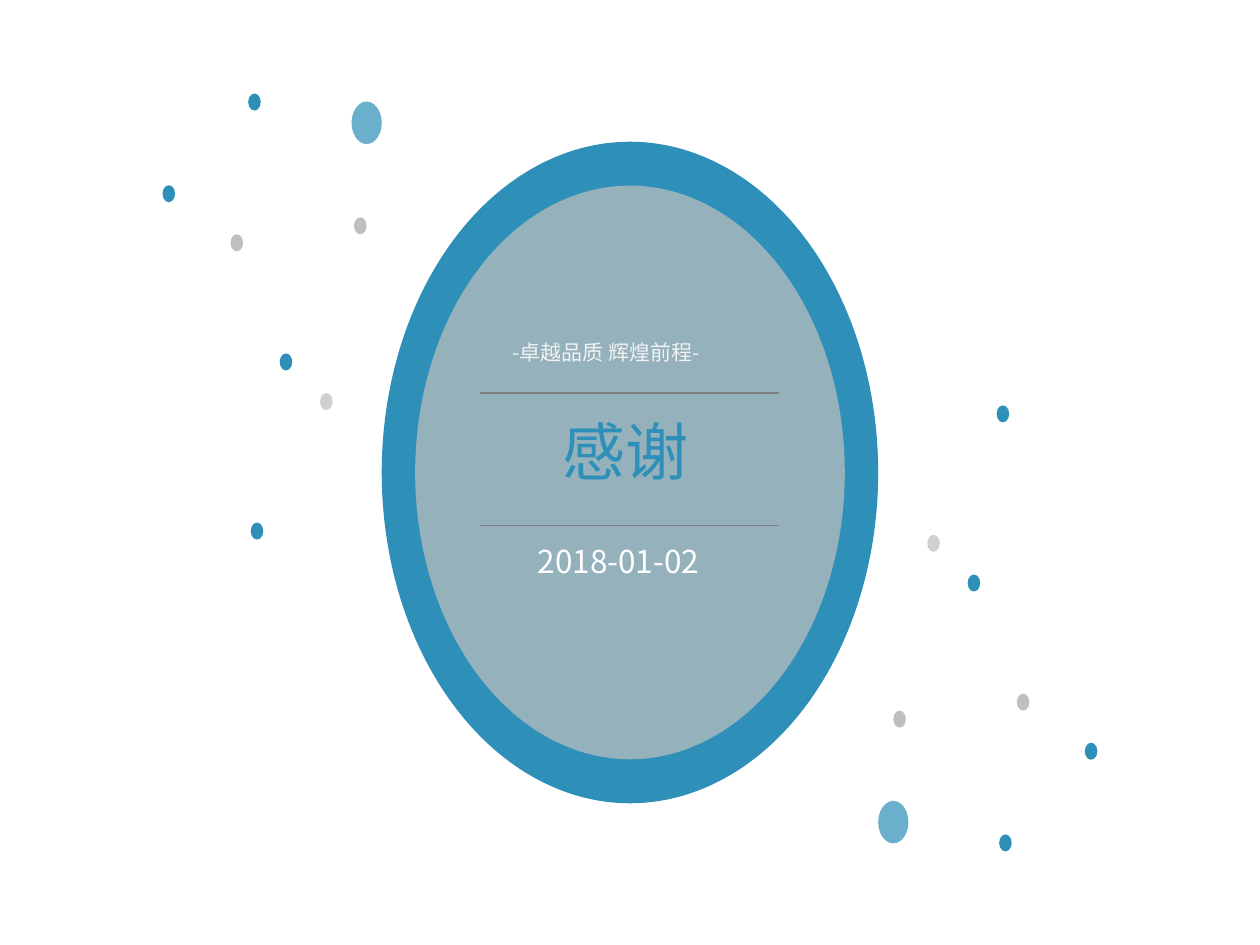
from lxml.etree import SubElement
from pptx import Presentation
from pptx.dml.color import RGBColor
from pptx.enum.shapes import MSO_CONNECTOR as Connector, MSO_SHAPE as Shape
from pptx.enum.text import MSO_ANCHOR as Anchor, PP_ALIGN as Align
from pptx.oxml.ns import qn
from pptx.util import Inches, Pt

WIDTH, HEIGHT = 10, 7.5
COLORS = {
    "blue": "2E90B8",
    "silver": "BFBFBF",
    "rule": "7F7F7F",
    "white": "FFFFFF",
    "pale": "F2F2F2",
}
DOT = (0.01, 0.018)
BUBBLE = (0.024, 0.045)
RIGHT_DOTS = [
    (0.741, 0.575, DOT, "silver", 72),
    (0.796, 0.438, DOT, "blue", 100),
    (0.773, 0.617, DOT, "blue", 100),
    (0.709, 0.87, BUBBLE, "blue", 71),
    (0.798, 0.892, DOT, "blue", 100),
    (0.866, 0.795, DOT, "blue", 100),
    (0.714, 0.761, DOT, "silver", 100),
    (0.812, 0.743, DOT, "silver", 100),
]


def across(share):
    return Inches(WIDTH * share)


def down(share):
    return Inches(HEIGHT * share)


def color(name):
    return RGBColor.from_string(COLORS[name])


def write(frame, text, size, ink, font="Noto Sans CJK SC", align=Align.LEFT, wrap=True):
    frame.word_wrap = wrap
    frame.vertical_anchor = Anchor.MIDDLE
    para = frame.paragraphs[0]
    para.alignment = align
    span = para.add_run()
    span.text = text
    span.font.size = Pt(size)
    span.font.color.rgb = color(ink)
    span.font.name = font
    SubElement(span._r.get_or_add_rPr(), qn("a:ea"), typeface=font)


class Painter:
    def __init__(self, page):
        self.page = page

    def oval(self, x, y, size, fill, opacity=100):
        width, height = size
        shape = self.page.shapes.add_shape(
            Shape.OVAL, across(x - width / 2), down(y - height / 2), across(width), down(height))
        shape.shadow.inherit = False
        shape.fill.solid()
        shape.fill.fore_color.rgb = color(fill)
        shape.line.fill.background()
        if opacity < 100:
            tint = shape.fill._xPr.find(".//" + qn("a:srgbClr"))
            SubElement(tint, qn("a:alpha"), val=str(opacity * 1000))

    def rule(self, left, right, y):
        line = self.page.shapes.add_connector(
            Connector.STRAIGHT, across(left), down(y), across(right), down(y))
        line.line.color.rgb = color("rule")
        line.line.width = Pt(0.75)
        SubElement(line._element.spPr, qn("a:effectLst"))

    def title(self, left, top, width, height, text, **style):
        box = self.page.shapes.title
        box.left, box.top = across(left), down(top)
        box.width, box.height = across(width), down(height)
        write(box.text_frame, text, **style)
        tree = self.page.shapes._spTree
        tree.remove(box._element)
        tree.append(box._element)

    def label(self, left, top, width, height, text, **style):
        box = self.page.shapes.add_textbox(across(left), down(top), across(width), down(height))
        write(box.text_frame, text, **style)


def main():
    deck = Presentation()
    deck.slide_width, deck.slide_height = Inches(WIDTH), Inches(HEIGHT)
    painter = Painter(deck.slides.add_slide(deck.slide_layouts[5]))

    painter.oval(0.5, 0.5, (0.394, 0.7), "blue")
    painter.oval(0.5, 0.5, (0.341, 0.607), "silver", 71)
    for y in (0.416, 0.556):
        painter.rule(0.381, 0.618, y)
    painter.title(0.343, 0.43, 0.307, 0.093, "感谢", size=36, ink="blue", align=Align.CENTER)

    for x, y, size, fill, opacity in RIGHT_DOTS:
        painter.oval(x, y, size, fill, opacity)
        painter.oval(1 - x, 1 - y, size, fill, opacity)

    painter.label(0.417, 0.567, 0.15, 0.053, "2018-01-02", size=18, ink="white", wrap=False)
    painter.label(0.397, 0.353, 0.205, 0.04, "-卓越品质 辉煌前程-", size=12, ink="pale")

    deck.save("out.pptx")


if __name__ == "__main__":
    main()
